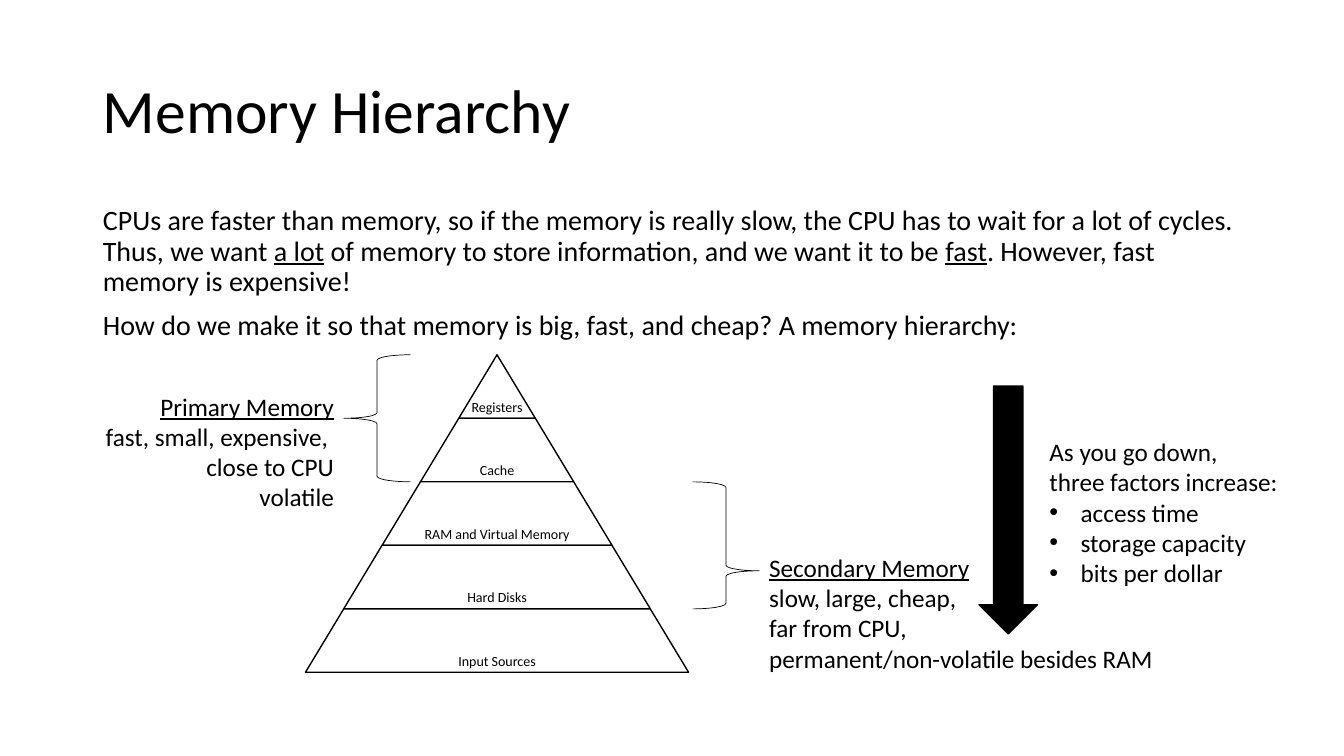
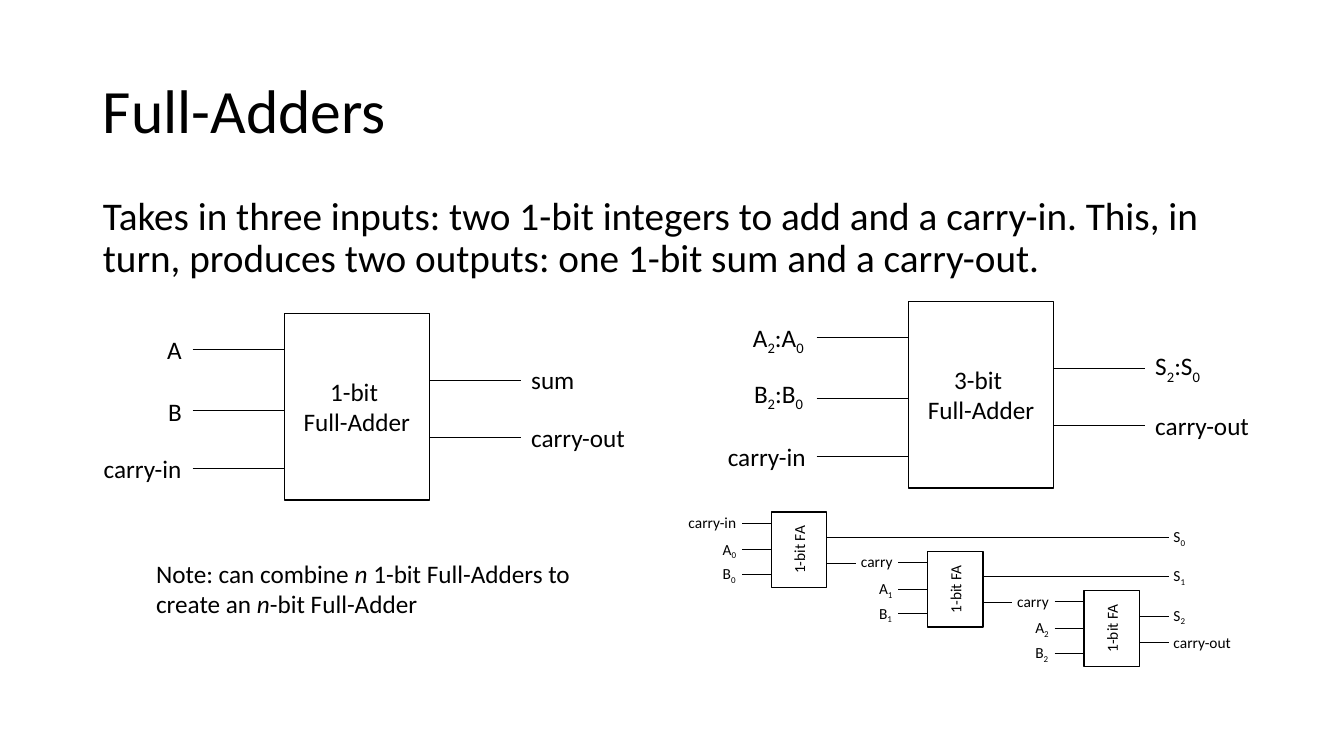
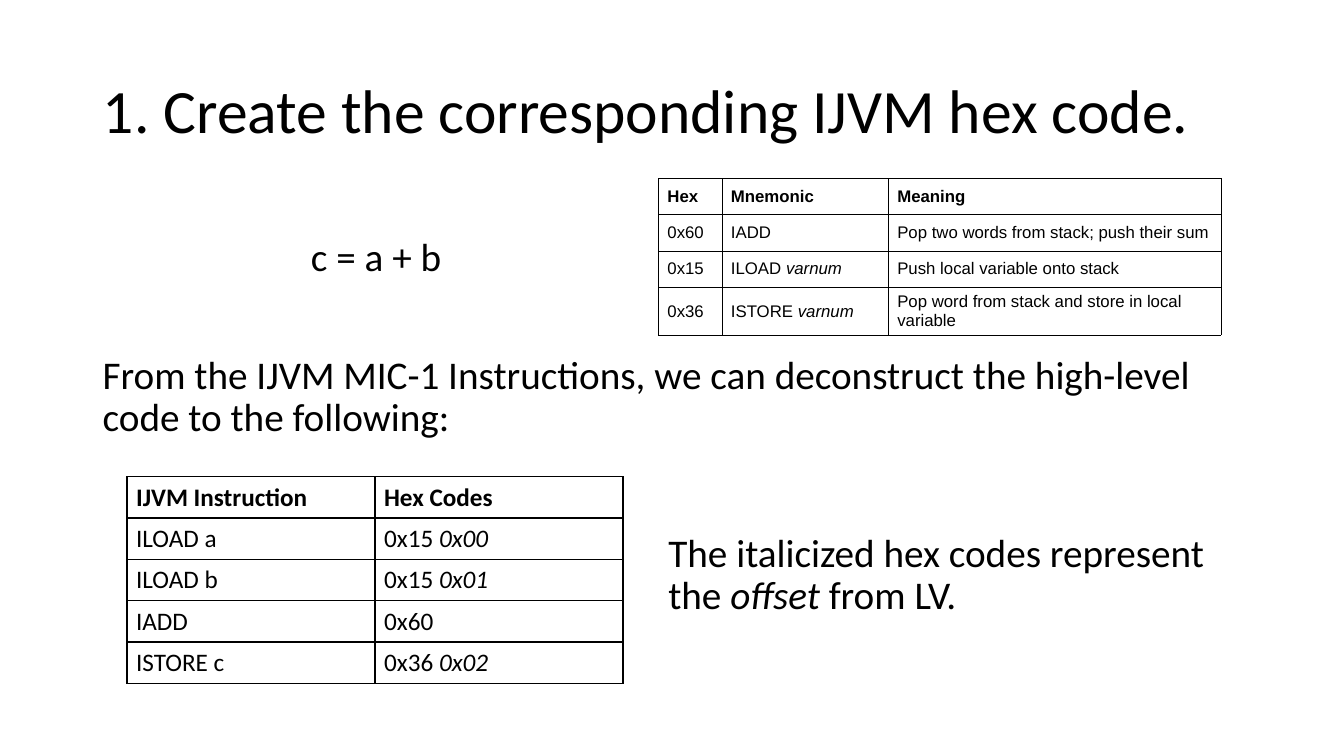
from lxml.etree import SubElement
from pptx import Presentation
from pptx.dml.color import RGBColor
from pptx.enum.shapes import MSO_CONNECTOR, MSO_SHAPE
from pptx.enum.text import MSO_ANCHOR, MSO_AUTO_SIZE, PP_ALIGN
from pptx.oxml import parse_xml
from pptx.oxml.ns import nsdecls, qn
from pptx.util import Inches, Pt

COLORS = {"ink": "000000", "paper": "FFFFFF"}
FONT = "Calibri"
MARKS = {"*": "italic", "_": "underline", "~": "sub"}


def color(name):
    return RGBColor.from_string(COLORS[name])


def lengths(*values):
    return [Inches(value) for value in values]


def add_runs(para, text):
    """Split text into runs: *italic*, _underline_, ~subscript~."""
    style, part = None, ""
    for char in text + "\0":
        if char not in MARKS and char != "\0":
            part += char
            continue
        if part:
            run = para.add_run()
            run.text = part
            if style == "sub":
                run._r.get_or_add_rPr().set("baseline", "-25000")
            elif style:
                setattr(run.font, style, True)
        part = ""
        style = None if style else MARKS.get(char)


def set_bullet(para, char=None, indent=0):
    props = para._p.get_or_add_pPr()
    props.set("marL", str(Inches(indent)))
    props.set("indent", str(-Inches(indent)))
    if char:
        SubElement(props, qn("a:buFont")).set("typeface", "Arial")
        SubElement(props, qn("a:buChar")).set("char", char)
    else:
        SubElement(props, qn("a:buNone"))


def write(frame, lines, size, align=PP_ALIGN.LEFT, spacing=1, gap=0,
          font=FONT, bold=False):
    """Fill a text frame; a line that starts with • becomes a bullet."""
    for i, line in enumerate(lines):
        para = frame.add_paragraph() if i else frame.paragraphs[0]
        if line.startswith("•"):
            set_bullet(para, "•", 0.31)
        else:
            set_bullet(para)
        add_runs(para, line.removeprefix("•"))
        para.alignment = align
        para.line_spacing = spacing
        para.space_before = Pt(gap if i else 0)
        para.font.name = font
        para.font.size = Pt(size)
        para.font.bold = bold
        para.font.color.rgb = color("ink")


def place(shape, box):
    shape.left, shape.top, shape.width, shape.height = lengths(*box)
    shape.text_frame.auto_size = MSO_AUTO_SIZE.NONE


def new_slide(prs, title, body, box, size, align=PP_ALIGN.LEFT):
    slide = prs.slides.add_slide(prs.slide_layouts[1])
    head, text = slide.placeholders
    place(head, (0.92, 0.4, 11.5, 1.45))
    head.text_frame.vertical_anchor = MSO_ANCHOR.MIDDLE
    write(head.text_frame, [title], 44, spacing=0.9)
    place(text, box)
    text.text_frame.vertical_anchor = MSO_ANCHOR.TOP
    write(text.text_frame, body, size, align, 0.9, 10)
    return slide


def add_label(slide, box, lines, size=18, align=PP_ALIGN.LEFT):
    frame = slide.shapes.add_textbox(*lengths(*box)).text_frame
    frame.word_wrap = False
    frame.auto_size = MSO_AUTO_SIZE.SHAPE_TO_FIT_TEXT
    write(frame, lines, size, align)


def add_prose(slide, box, text):
    frame = slide.shapes.add_textbox(*lengths(*box)).text_frame
    frame.word_wrap = True
    write(frame, [text], 28, spacing=0.9)


def paint(shape, fill, width):
    shape.shadow.inherit = False
    if fill:
        shape.fill.solid()
        shape.fill.fore_color.rgb = color(fill)
    else:
        shape.fill.background()
    shape.line.color.rgb = color("ink")
    shape.line.width = Pt(width)


def add_shape(slide, kind, box, fill=None, width=1):
    shape = slide.shapes.add_shape(kind, *lengths(*box))
    paint(shape, fill, width)
    return shape


def add_tier(slide, points, text):
    points = [lengths(*point) for point in points]
    build = slide.shapes.build_freeform(*points[0])
    build.add_line_segments(points[1:], close=True)
    tier = build.convert_to_shape()
    paint(tier, "paper", 1)
    frame = tier.text_frame
    frame.word_wrap = False
    frame.vertical_anchor = MSO_ANCHOR.BOTTOM
    frame.margin_top = frame.margin_bottom = Inches(0.03)
    write(frame, [text], 10, PP_ALIGN.CENTER, 0.9)


def add_block(slide, box, lines, size):
    block = add_shape(slide, MSO_SHAPE.RECTANGLE, box, "paper")
    block.text_frame.vertical_anchor = MSO_ANCHOR.MIDDLE
    write(block.text_frame, lines, size, PP_ALIGN.CENTER)
    return block


def add_wire(slide, start, end, y):
    wire = slide.shapes.add_connector(
        MSO_CONNECTOR.STRAIGHT, *lengths(start, y, end, y))
    wire.line.color.rgb = color("ink")
    wire.line.width = Pt(0.5)
    SubElement(wire._element.spPr, qn("a:effectLst"))
    return wire


def add_adder(slide, left, top, name, ins, outs):
    """Draw a large adder; ins and outs list (text, width, rise)."""
    wide, reach = 1.44, 0.91
    right = left + wide
    add_block(slide, (left, top, wide, 1.85), [name, "Full-Adder"], 18)
    for (text, width, rise), drop in zip(ins, (0.36, 0.96, 1.54)):
        y = top + drop
        add_wire(slide, left - reach, left, y)
        add_label(slide, (left - reach - width, y - rise, width, 0.4), [text])
    for (text, width, rise), drop in zip(outs, (0.66, 1.23)):
        y = top + drop
        add_wire(slide, right, right + reach, y)
        add_label(slide, (right + reach, y - rise, width, 0.4), [text])


def add_chain(slide):
    """Draw three small adders, each carry feeding the next."""
    wide, high, reach, end = 0.55, 0.75, 0.29, 11.59
    for i in range(3):
        left, top = 7.65 + 1.55 * i, 5.08 + 0.39 * i
        right = left + wide
        block = add_block(slide, (left, top, wide, high), ["1-bit FA"], 11)
        block.text_frame._txBody.bodyPr.set("vert", "vert270")
        carry = ("carry", 0.52) if i else ("carry-in", 0.68)
        ins = [carry, (f"A~{i}~", 0.34), (f"B~{i}~", 0.34)]
        for (text, width), drop in zip(ins, (0.11, high / 2, 0.62)):
            y = top + drop
            wire = add_wire(slide, left - reach, left, y)
            if drop == high / 2:
                wire.end_connect(block, 1)
            edge = left - reach + 0.05
            add_label(slide, (edge - width, y - 0.15, width, 0.29), [text], 11)
        add_wire(slide, right, end, top + 0.25)
        add_wire(slide, right, right + reach, top + 0.51)
        add_label(slide, (end - 0.05, top + 0.1, 0.32, 0.29), [f"S~{i}~"], 11)
    add_label(slide, (end - 0.05, top + 0.37, 0.78, 0.29), ["carry-out"], 11)


def add_borders(cell, width):
    props = cell._tc.get_or_add_tcPr()
    for i, side in enumerate("LRTB"):
        props.insert(i, parse_xml(
            f'<a:ln{side} {nsdecls("a")} w="{Pt(width)}"><a:solidFill>'
            f'<a:srgbClr val="{COLORS["ink"]}"/></a:solidFill></a:ln{side}>'))


def add_grid(slide, at, cols, heights, rows, size, font, border):
    box = lengths(*at, sum(cols), sum(heights))
    grid = slide.shapes.add_table(len(rows), len(cols), *box).table
    grid.first_row = grid.horz_banding = False
    for col, width in zip(grid.columns, cols):
        col.width = Inches(width)
    for r, (row, height) in enumerate(zip(rows, heights)):
        grid.rows[r].height = Inches(height)
        for c, text in enumerate(row):
            cell = grid.cell(r, c)
            cell.vertical_anchor = MSO_ANCHOR.MIDDLE
            cell.margin_left = cell.margin_right = Inches(0.09)
            cell.fill.solid()
            cell.fill.fore_color.rgb = color("paper")
            add_borders(cell, border)
            write(cell.text_frame, [text], size, font=font, bold=r == 0)


def memory_slide(prs):
    slide = new_slide(prs, "Memory Hierarchy", [
        "CPUs are faster than memory, so if the memory is really slow, the "
        "CPU has to wait for a lot of cycles. Thus, we want _a lot_ of memory "
        "to store information, and we want it to be _fast_. However, fast "
        "memory is expensive!",
        "How do we make it so that memory is big, fast, and cheap? "
        "A memory hierarchy:"], (0.92, 2, 11.5, 1.52), 20)
    tiers = ["Registers", "Cache", "RAM and Virtual Memory", "Hard Disks",
             "Input Sources"]
    mid, peak, high, step = 4.93, 3.52, 0.63, 0.38
    for i, text in enumerate(tiers):
        top, low = peak + high * i, peak + high * (i + 1)
        near, far = step * i, step * (i + 1)
        add_tier(slide, [(mid - far, low), (mid - near, top),
                         (mid + near, top), (mid + far, low)], text)
    add_shape(slide, MSO_SHAPE.LEFT_BRACE, (3.41, 3.52, 0.66, 1.26), width=0.5)
    brace = add_shape(slide, MSO_SHAPE.LEFT_BRACE, (6.87, 4.78, 0.66, 1.26),
                      width=0.5)
    brace.rotation = 180
    brace.adjustments[1] = 0.3
    add_label(slide, (0.92, 3.83, 2.49, 1.31), [
        "_Primary Memory_", "fast, small, expensive, ", "close to CPU",
        "volatile"], align=PP_ALIGN.RIGHT)
    add_label(slide, (7.53, 5.43, 4.05, 1.31), [
        "_Secondary Memory_", "slow, large, cheap,", "far from CPU,",
        "permanent/non-volatile besides RAM"])
    add_shape(slide, MSO_SHAPE.DOWN_ARROW, (9.71, 3.83, 0.58, 2.46), "ink")
    add_label(slide, (10.31, 4.28, 2.49, 1.62), [
        "As you go down,", "three factors increase:", "•access time",
        "•storage capacity", "•bits per dollar"])


def adder_slide(prs):
    slide = new_slide(prs, "Full-Adders", [
        "Takes in three inputs: two 1-bit integers to add and a carry-in. "
        "This, in turn, produces two outputs: one 1-bit sum and a carry-out."],
        (0.92, 1.9, 11.5, 1.62), 28)
    carry_in, carry_out = ("carry-in", 0.98, 0.2), ("carry-out", 1.14, 0.2)
    add_adder(slide, 2.82, 3.11, "1-bit ",
              [("A", 0.35, 0.2), ("B", 0.34, 0.19), carry_in],
              [("sum", 0.63, 0.2), carry_out])
    add_adder(slide, 9.01, 2.99, "3-bit ",
              [("A~2~:A~0~", 0.73, 0.2), ("B~2~:B~0~", 0.72, 0.25), carry_in],
              [("S~2~:S~0~", 0.67, 0.22), carry_out])
    add_label(slide, (1.45, 5.49, 4.36, 0.71), [
        "Note: can combine *n *1-bit Full-Adders to",
        "create an *n*-bit Full-Adder"])
    add_chain(slide)


def code_slide(prs):
    slide = new_slide(prs, "1. Create the corresponding IJVM hex code.",
                      ["c = a + b"], (0.92, 2.31, 5.62, 0.51), 28,
                      PP_ALIGN.CENTER)
    add_grid(slide, (6.53, 1.77), [0.63, 1.65, 3.3], [0.36] * 3 + [0.47], [
        ("Hex", "Mnemonic", "Meaning"),
        ("0x60", "IADD", "Pop two words from stack; push their sum"),
        ("0x15", "ILOAD *varnum*", "Push local variable onto stack"),
        ("0x36", "ISTORE *varnum*",
         "Pop word from stack and store in local variable"),
    ], 12, "Arial", 0.36)
    add_prose(slide, (0.92, 3.48, 11.5, 1.01),
              "From the IJVM MIC-1 Instructions, we can deconstruct the "
              "high-level code to the following:")
    add_grid(slide, (1.26, 4.73), [2.46] * 2, [0.41] * 5, [
        ("IJVM Instruction", "Hex Codes"),
        ("ILOAD a", "0x15 *0x00*"),
        ("ILOAD b", "0x15 *0x01*"),
        ("IADD", "0x60"),
        ("ISTORE c", "0x36 *0x02*"),
    ], 18, FONT, 1)
    add_prose(slide, (6.53, 5.24, 5.88, 1.01),
              "The italicized hex codes represent the *offset* from LV.")


def main():
    prs = Presentation()
    prs.slide_width, prs.slide_height = lengths(13.33, 7.5)
    memory_slide(prs)
    adder_slide(prs)
    code_slide(prs)
    prs.save("out.pptx")


if __name__ == "__main__":
    main()
